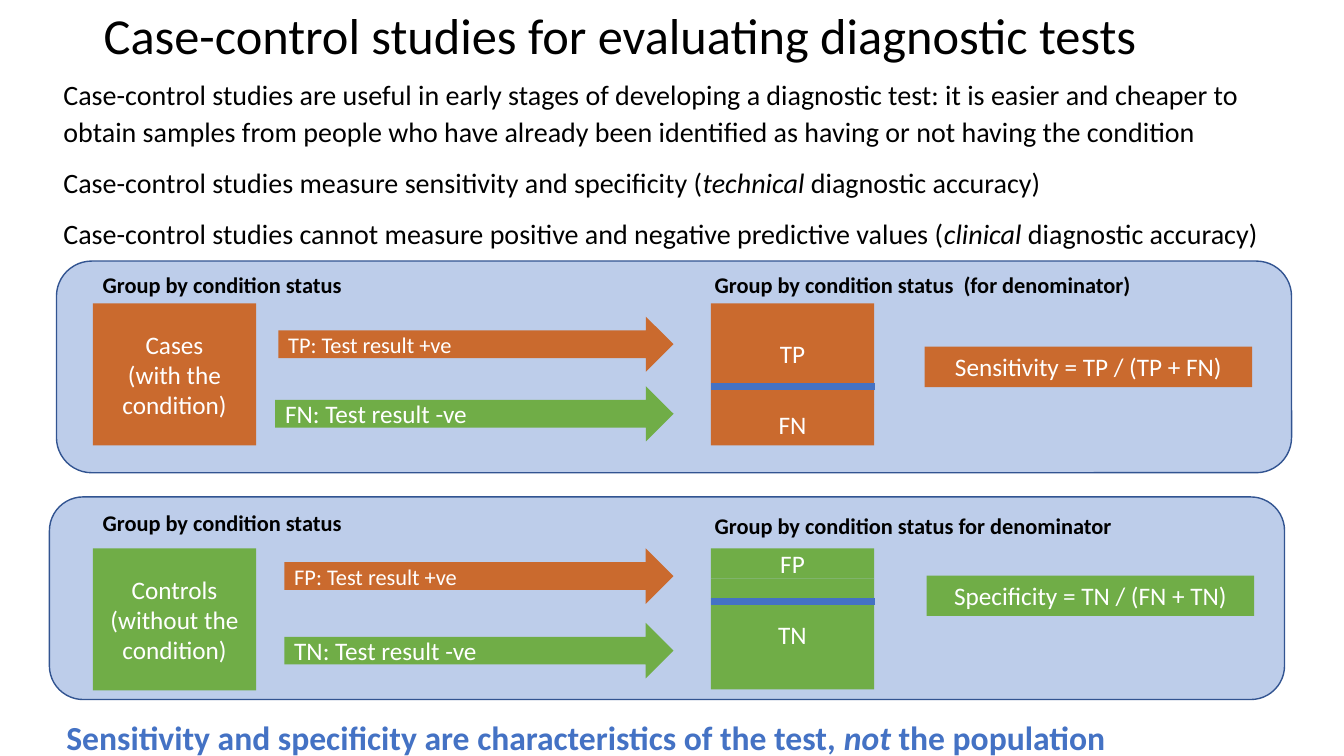
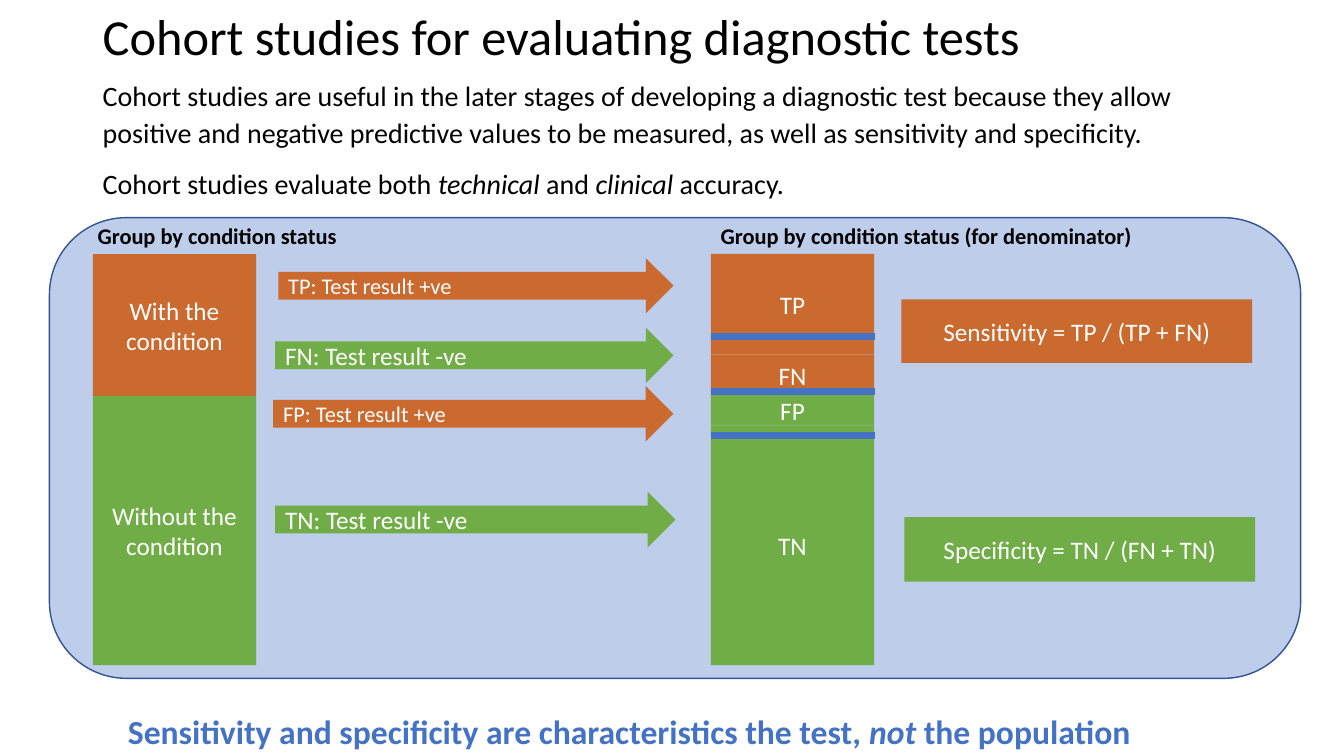
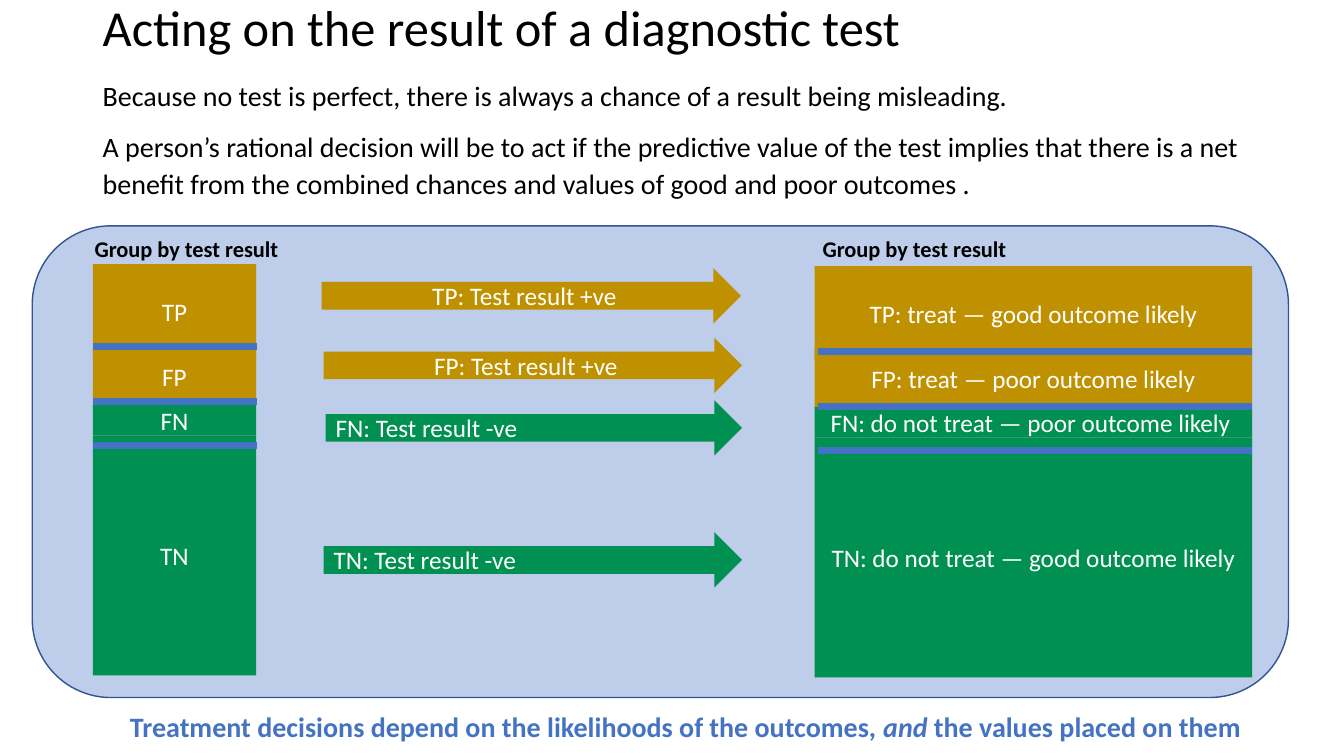
from dataclasses import dataclass
from typing import NamedTuple

from lxml.etree import SubElement
from pptx import Presentation
from pptx.dml.color import RGBColor
from pptx.enum.shapes import MSO_CONNECTOR, MSO_SHAPE
from pptx.enum.text import MSO_ANCHOR, MSO_AUTO_SIZE, PP_ALIGN
from pptx.oxml.ns import qn
from pptx.util import Inches, Pt

FONT = "Calibri"
BLACK, WHITE, BLUE, NAVY = "000000", "FFFFFF", "4472C4", "325491"
ORANGE, GREEN, GOLD, EMERALD = "CA6A2E", "70AD47", "BF9000", "009051"
PANEL_ALPHA = 35
LEFT, CENTER = PP_ALIGN.LEFT, PP_ALIGN.CENTER
COLUMN_LEFT, COLUMN_WIDTH = 0.92, 1.62
RESULT_LEFT = 7.05
ARROW_HEIGHT, ARROW_RIGHT = 0.55, 6.68


class Rect(NamedTuple):
    left: float
    top: float
    width: float
    height: float


@dataclass(frozen=True)
class Style:
    size: float
    color: str = BLACK
    bold: bool = False
    align: PP_ALIGN = LEFT
    spacing: float = 1.0
    before: float = 0


class Band(NamedTuple):
    text: str
    top: float
    height: float
    color: str


class Arrow(NamedTuple):
    text: str
    left: float
    top: float
    color: str
    size: float
    right: float = ARROW_RIGHT
    align: PP_ALIGN = LEFT


class Label(NamedTuple):
    text: str
    left: float
    top: float
    width: float


TITLE = Style(36, spacing=0.9)
BODY = Style(20, spacing=1.1, before=10)
LABEL = Style(16, bold=True)
BAND = Style(18, WHITE, align=CENTER)
FOOTER = Style(24, BLUE, bold=True, spacing=1.1)
FOOTER_SMALL = Style(20, BLUE, bold=True)


def rgb(color: str) -> RGBColor:
    return RGBColor.from_string(color)


def inches(rect: Rect) -> list:
    return [Inches(v) for v in rect]


def write(tf, paragraphs: list[str], style: Style) -> None:
    """Fill a text frame; asterisks enclose italics and a newline breaks the line."""
    tf.word_wrap = True
    for i, text in enumerate(paragraphs):
        p = tf.add_paragraph() if i else tf.paragraphs[0]
        p.alignment = style.align
        p.line_spacing = style.spacing
        p.space_before = Pt(style.before)
        for j, piece in enumerate(text.split("*")):
            for k, line in enumerate(piece.split("\n")):
                if k:
                    p.add_line_break()
                r = p.add_run()
                r.text = line
                r.font.name = FONT
                r.font.size = Pt(style.size)
                r.font.bold = style.bold
                r.font.italic = j % 2 == 1
                r.font.color.rgb = rgb(style.color)


def add_text(s, rect: Rect, paragraphs: list[str], style: Style,
             anchor: MSO_ANCHOR = MSO_ANCHOR.TOP, grow: bool = False) -> None:
    tf = s.shapes.add_textbox(*inches(rect)).text_frame
    tf.vertical_anchor = anchor
    write(tf, paragraphs, style)
    tf.auto_size = MSO_AUTO_SIZE.SHAPE_TO_FIT_TEXT if grow else MSO_AUTO_SIZE.NONE


def add_filled(s, kind: MSO_SHAPE, rect: Rect, color: str):
    sp = s.shapes.add_shape(kind, *inches(rect))
    sp.shadow.inherit = False
    sp.fill.solid()
    sp.fill.fore_color.rgb = rgb(color)
    sp.line.fill.background()
    return sp


def add_panel(s, rect: Rect) -> None:
    sp = add_filled(s, MSO_SHAPE.ROUNDED_RECTANGLE, rect, BLUE)
    sp.line.color.rgb = rgb(NAVY)
    sp.line.width = Pt(1)
    clr = sp.fill._xPr.find(qn("a:solidFill")).find(qn("a:srgbClr"))
    SubElement(clr, qn("a:alpha")).set("val", str(PANEL_ALPHA * 1000))


def add_block(s, kind: MSO_SHAPE, rect: Rect, text: str, color: str, style: Style) -> None:
    sp = add_filled(s, kind, rect, color)
    sp.text_frame.vertical_anchor = MSO_ANCHOR.MIDDLE
    write(sp.text_frame, [text], style)


def add_box(s, rect: Rect, text: str, color: str) -> None:
    add_block(s, MSO_SHAPE.RECTANGLE, rect, text, color, BAND)


def add_column(s, left: float, bands: list[Band], width: float = COLUMN_WIDTH) -> None:
    for band in bands:
        add_box(s, Rect(left, band.top, width, band.height), band.text, band.color)


def add_arrows(s, arrows: list[Arrow]) -> None:
    for a in arrows:
        rect = Rect(a.left, a.top, a.right - a.left, ARROW_HEIGHT)
        add_block(s, MSO_SHAPE.RIGHT_ARROW, rect, a.text, a.color,
                  Style(a.size, WHITE, align=a.align))


def add_dividers(s, left: float, right: float, tops: list[float]) -> None:
    for top in tops:
        line = s.shapes.add_connector(MSO_CONNECTOR.STRAIGHT, Inches(left), Inches(top),
                                      Inches(right), Inches(top))
        line.line.color.rgb = rgb(BLUE)
        line.line.width = Pt(5)
        SubElement(line._element.spPr, qn("a:effectLst"))


def add_labels(s, labels: list[Label]) -> None:
    for label in labels:
        rect = Rect(label.left, label.top, label.width, 0.37)
        add_text(s, rect, [label.text], LABEL, grow=True)


def start_slide(prs, title: str, title_rect: Rect, body: list[str], body_rect: Rect,
                panels: list[Rect], footer: str, footer_rect: Rect,
                footer_style: Style = FOOTER):
    s = prs.slides.add_slide(prs.slide_layouts[6])
    for panel in panels:
        add_panel(s, panel)
    add_text(s, body_rect, body, BODY)
    add_text(s, title_rect, [title], TITLE, anchor=MSO_ANCHOR.MIDDLE)
    add_text(s, footer_rect, [footer], footer_style, grow=True)
    return s


def case_control_slide(prs) -> None:
    s = start_slide(
        prs, "Case-control studies for evaluating diagnostic tests",
        Rect(0.93, -0.04, 11.5, 0.83),
        ["Case-control studies are useful in early stages of developing a diagnostic test: "
         "it is easier and cheaper to obtain samples from people who have already been "
         "identified as having or not having the condition",
         "Case-control studies measure sensitivity and specificity "
         "(*technical* diagnostic accuracy)",
         "Case-control studies cannot measure positive and negative predictive values "
         "(*clinical* diagnostic accuracy)"],
        Rect(0.53, 0.69, 12.21, 2.18),
        [Rect(0.49, 4.93, 12.25, 2.01), Rect(0.56, 2.59, 12.25, 2.1)],
        "Sensitivity and specificity are characteristics of the test, *not* the population",
        Rect(0.56, 7.02, 12.25, 0.52))
    add_column(s, COLUMN_LEFT, [
        Band("Cases\n(with the condition)", 3.01, 1.41, ORANGE),
        Band("Controls\n(without the condition)", 5.44, 1.41, GREEN)])
    add_column(s, RESULT_LEFT, [
        Band("TP", 3.01, 1, ORANGE), Band("FN", 4.01, 0.41, ORANGE),
        Band("FP", 5.44, 0.3, GREEN), Band("TN", 5.74, 1.1, GREEN)])
    add_arrows(s, [
        Arrow("TP: Test result +ve", 2.76, 3.14, ORANGE, 16),
        Arrow("FN: Test result -ve", 2.73, 3.83, GREEN, 18),
        Arrow("FP: Test result +ve", 2.82, 5.44, ORANGE, 16),
        Arrow("TN: Test result -ve", 2.82, 6.18, GREEN, 18)])
    add_dividers(s, RESULT_LEFT, 8.68, [3.83, 5.97])
    add_box(s, Rect(9.17, 3.44, 3.25, 0.4), "Sensitivity = TP / (TP + FN)", ORANGE)
    add_box(s, Rect(9.19, 5.71, 3.25, 0.4), "Specificity = TN / (FN + TN)", GREEN)
    add_labels(s, [
        Label("Group by condition status", 0.92, 2.64, 5.45),
        Label("Group by condition status  (for denominator)", 6.99, 2.64, 5.45),
        Label("Group by condition status", 0.92, 5, 5.45),
        Label("Group by condition status for denominator", 6.99, 5.03, 5.19)])


def cohort_slide(prs) -> None:
    s = start_slide(
        prs, "Cohort studies for evaluating diagnostic tests",
        Rect(0.92, -0.34, 11.5, 1.45),
        ["Cohort studies are useful in the later stages of developing a diagnostic test "
         "because they allow positive and negative predictive values to be measured, "
         "as well as sensitivity and specificity.",
         "Cohort studies evaluate both *technical* and *clinical* accuracy."],
        Rect(0.92, 0.7, 11.5, 1.44),
        [Rect(0.49, 2.16, 12.41, 4.57)],
        "Sensitivity and specificity are characteristics the test, *not* the population",
        Rect(1.17, 6.96, 12.25, 0.52))
    add_column(s, COLUMN_LEFT, [
        Band("With the condition", 2.52, 1.41, ORANGE),
        Band("Without the condition", 3.93, 2.67, GREEN)])
    add_column(s, RESULT_LEFT, [
        Band("TP", 2.52, 1, ORANGE), Band("FN", 3.52, 0.41, ORANGE),
        Band("FP", 3.92, 0.3, GREEN), Band("TN", 4.22, 2.38, GREEN)])
    add_dividers(s, RESULT_LEFT, 8.68, [3.34, 3.88, 4.32])
    add_arrows(s, [
        Arrow("TP: Test result +ve", 2.76, 2.56, ORANGE, 16),
        Arrow("FP: Test result +ve", 2.71, 3.83, ORANGE, 16),
        Arrow("TN: Test result -ve", 2.73, 4.88, GREEN, 18, 6.7),
        Arrow("FN: Test result -ve", 2.73, 3.25, GREEN, 18)])
    add_box(s, Rect(8.94, 2.97, 3.48, 0.63), "Sensitivity = TP / (TP + FN)", ORANGE)
    add_box(s, Rect(8.97, 5.13, 3.48, 0.64), "Specificity = TN / (FN + TN)", GREEN)
    add_labels(s, [
        Label("Group by condition status", 0.87, 2.15, 2.68),
        Label("Group by condition status (for denominator)", 7.05, 2.15, 5.39)])


def result_bands(top: float, tp: str, fp: str, fn: str, tn: str) -> list[Band]:
    return [Band(tp, top, 0.93, GOLD), Band(fp, top + 0.82, 0.59, GOLD),
            Band(fn, top + 1.4, 0.3, EMERALD), Band(tn, top + 1.7, 2.38, EMERALD)]


def acting_slide(prs) -> None:
    s = start_slide(
        prs, "Acting on the result of a diagnostic test",
        Rect(0.92, -0.08, 11.5, 0.75),
        ["Because no test is perfect, there is always a chance of a result being misleading.",
         "A person’s rational decision will be to act if the predictive value of the test "
         "implies that there is a net benefit from the combined chances and values of good "
         "and poor outcomes ."],
        Rect(0.92, 0.7, 11.5, 1.5),
        [Rect(0.32, 2.24, 12.46, 4.68)],
        "Treatment decisions depend on the likelihoods of the outcomes, "
        "*and* the values placed on them",
        Rect(1.19, 6.99, 12.35, 0.74), FOOTER_SMALL)
    add_column(s, COLUMN_LEFT, result_bands(2.62, "TP", "FP", "FN", "TN"))
    add_column(s, 8.08, result_bands(
        2.64, "TP: treat — good outcome likely", "FP: treat — poor outcome likely",
        "FN: do not treat — poor outcome likely ",
        "TN: do not treat — good outcome likely"), 4.34)
    add_dividers(s, COLUMN_LEFT, 2.55, [3.44, 3.98, 4.42])
    add_dividers(s, 8.11, 12.42, [3.49, 4.03, 4.47])
    add_arrows(s, [
        Arrow("TP: Test result +ve", 3.19, 2.66, GOLD, 18, 7.35, CENTER),
        Arrow("FP: Test result +ve", 3.21, 3.35, GOLD, 18, 7.36, CENTER),
        Arrow("FN: Test result -ve", 3.23, 3.97, EMERALD, 18, 7.36),
        Arrow("TN: Test result -ve", 3.21, 5.28, EMERALD, 18, 7.36)])
    add_labels(s, [Label("Group by test result", 0.84, 2.28, 2.53),
                   Label("Group by test result", 8.06, 2.28, 3.38)])


def main() -> None:
    prs = Presentation()
    prs.slide_width, prs.slide_height = Inches(13.33), Inches(7.5)
    case_control_slide(prs)
    cohort_slide(prs)
    acting_slide(prs)
    prs.save("out.pptx")


if __name__ == "__main__":
    main()
